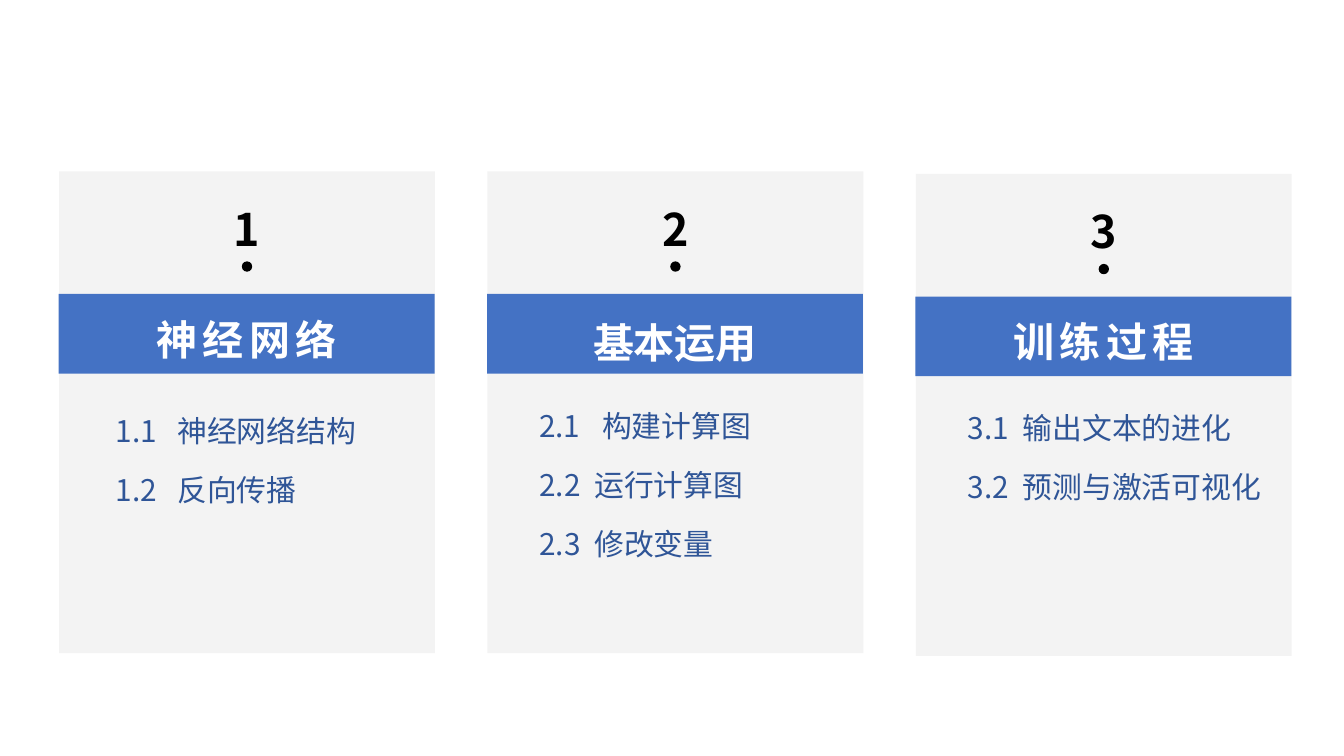
import pptx
import pptx.util
import pptx.dml.color
import pptx.enum.shapes
import pptx.enum.text
import pptx.oxml
import pptx.oxml.ns
from dataclasses import dataclass

Pt = pptx.util.Pt
RGB = pptx.dml.color.RGBColor.from_string
Kind = pptx.enum.shapes.MSO_SHAPE
Align = pptx.enum.text.PP_ALIGN
Anchor = pptx.enum.text.MSO_ANCHOR


@dataclass(frozen=True)
class Theme:
    font: str = "Noto Sans CJK SC"
    panel: str = "F3F3F3"
    band: str = "4472C4"
    item: str = "2F5597"
    dark: str = "000000"
    light: str = "FFFFFF"
    head: float = 29.3
    body: float = 21.3
    number: float = 32


THEME = Theme()
LEFT, TOP, STEP, WIDTH = 42.25, 122.4, 306, 268.5
INDENT = 27.36

# Each item: number, text, distance from number to text
CARDS = [
    dict(head="神经网络", space=4, anchor=Anchor.MIDDLE, drop=0, shift=(3.6, 154.8),
         items=[("1.1", "神经网络结构", 44), ("1.2", "反向传播", 44)]),
    dict(head="基本运用", space=0, anchor=Anchor.BOTTOM, drop=0, shift=(0, 151.2),
         items=[("2.1", "构建计算图", 45), ("2.2", "运行计算图", 39.5),
                ("2.3", "修改变量", 39.5)]),
    dict(head="训练过程", space=4, anchor=Anchor.MIDDLE, drop=1.8, shift=(0, 151.2),
         items=[("3.1", "输出文本的进化", 39.5), ("3.2", "预测与激活可视化", 39.5)]),
]


def apply(target, values):
    for name, value in values.items():
        setattr(target, name, value)


def shape(group, kind, box, color):
    item = group.shapes.add_shape(kind, *map(Pt, box))
    item.shadow.inherit = False
    item.fill.solid()
    item.fill.fore_color.rgb = RGB(color)
    item.line.fill.background()
    return item


def frame(item, anchor, wrap):
    text = item.text_frame
    apply(text, dict(margin_left=Pt(9.6), margin_right=Pt(9.6), margin_top=Pt(4.8),
                     margin_bottom=Pt(4.8), vertical_anchor=anchor, word_wrap=wrap))
    return text


def write(para, words, size, color, bold=False, space=0, **layout):
    apply(para, layout)
    run = para.add_run()
    run.text = words
    apply(run.font, dict(size=Pt(size), bold=bold, name=THEME.font))
    run.font.color.rgb = RGB(color)
    props = run.font._element
    east = pptx.oxml.parse_xml(
        f'<a:ea {pptx.oxml.ns.nsdecls("a")} typeface="{THEME.font}"/>')
    props.append(east)
    if space:
        props.set("spc", str(space * 100))


def listing(group, box, items):
    text = frame(group.shapes.add_textbox(*map(Pt, box)), Anchor.TOP, True)
    for index, (number, words, gap) in enumerate(items):
        para = text.add_paragraph() if index else text.paragraphs[0]
        # Hanging indent lines the words up after the number
        props = para._p.get_or_add_pPr()
        props.set("marL", str(Pt(INDENT + gap)))
        props.set("indent", str(-Pt(gap)))
        write(para, f"{number}\t{words}", THEME.body, THEME.item, level=1,
              line_spacing=1.5, space_before=Pt(3.8 if index else 0))


def card(slide, index, data):
    group = slide.shapes.add_group_shape()
    x, y = LEFT + index * STEP, TOP + data["drop"]

    # Panel and heading band
    shape(group, Kind.RECTANGLE, (x, y, WIDTH, 344.2), THEME.panel)
    band = shape(group, Kind.RECTANGLE, (x - 0.3, y + 87.6, WIDTH, 56.9), THEME.band)
    write(frame(band, data["anchor"], False).paragraphs[0], data["head"], THEME.head,
          THEME.light, True, data["space"], alignment=Align.CENTER, line_spacing=1.2)

    # Topics
    right, down = data["shift"]
    listing(group, (x + right, y + down, WIDTH, 193), data["items"])

    # Number and dot
    label = group.shapes.add_textbox(*map(Pt, (x + 97.4, y - 0.7, 73.4, 63.4)))
    write(frame(label, Anchor.MIDDLE, False).paragraphs[0], str(index + 1), THEME.number,
          THEME.dark, True, alignment=Align.CENTER, line_spacing=1.5)
    shape(group, Kind.OVAL, (x + 130.5, y + 64.3, 7.4, 7.4), THEME.dark)


def main():
    deck = pptx.Presentation()
    apply(deck, dict(slide_width=Pt(960), slide_height=Pt(540)))
    slide = deck.slides.add_slide(deck.slide_layouts[6])
    for index, data in enumerate(CARDS):
        card(slide, index, data)
    deck.save("out.pptx")


if __name__ == "__main__":
    main()
